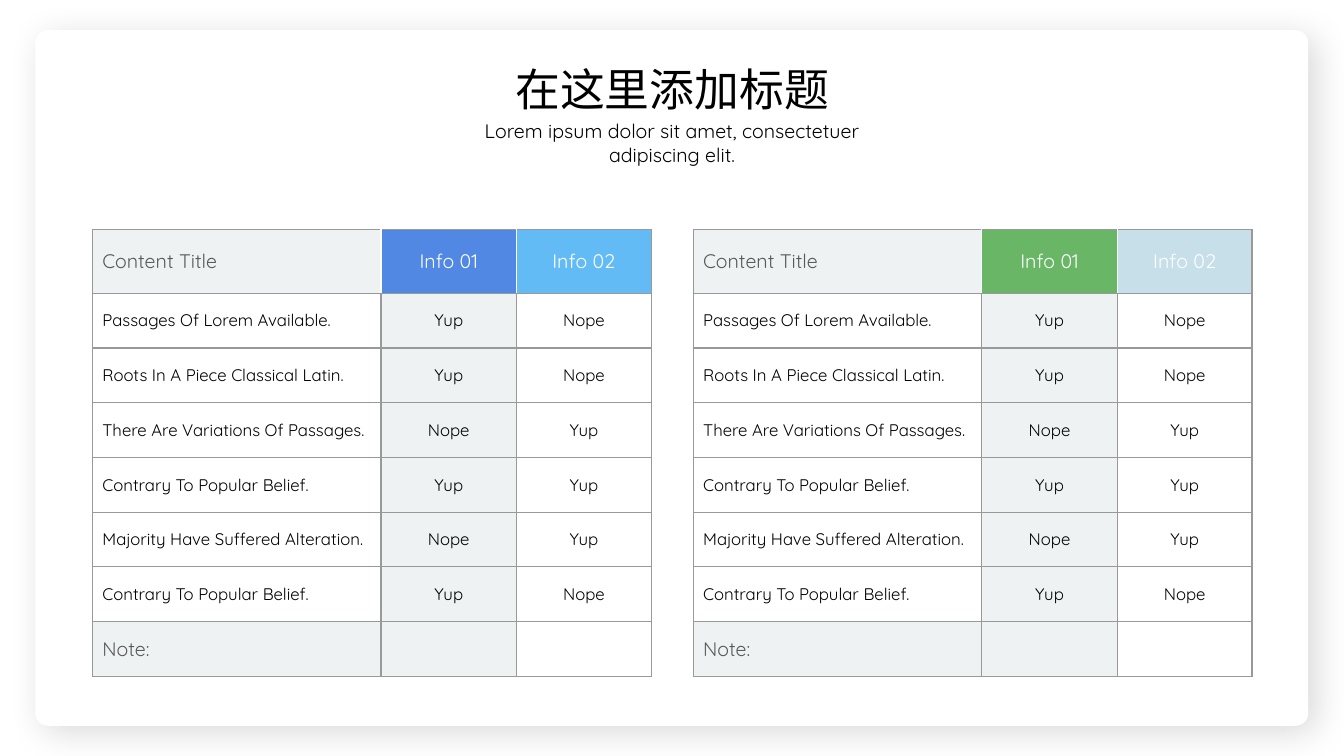
from lxml import etree
from pptx import Presentation
from pptx.dml.color import RGBColor
from pptx.enum.shapes import MSO_SHAPE as SHAPE
from pptx.enum.text import MSO_ANCHOR as ANCHOR, MSO_AUTO_SIZE as AUTO, PP_ALIGN as ALIGN
from pptx.oxml import parse_xml
from pptx.oxml.ns import nsdecls, qn
from pptx.util import Cm, Pt

LATIN, CJK = "Quicksand", "Noto Sans CJK SC"
BLACK, WHITE, GREY, LINE, TINT = "000000", "FFFFFF", "595959", "999999", "EFF2F3"
COL_WIDTHS = (7.27, 3.42, 3.39)
HEADER_H, ROW_H = 1.6, 1.38
ROWS = [
    ("Content Title", "Info 01", "Info 02"),
    ("Passages Of Lorem Available.", "Yup", "Nope"),
    ("Roots In A Piece Classical Latin.", "Yup", "Nope"),
    ("There Are Variations Of Passages.", "Nope", "Yup"),
    ("Contrary To Popular Belief.", "Yup", "Yup"),
    ("Majority Have Suffered Alteration.", "Nope", "Yup"),
    ("Contrary To Popular Belief.", "Yup", "Nope"),
    ("Note:", "", ""),
]


def rgb(color):
    return RGBColor.from_string(color)


def style(p, size, font, color, align):
    p.alignment = align
    for r in p.runs:
        r.font.size, r.font.name = Pt(size), font
        r.font.color.rgb = rgb(color)
        ea = etree.SubElement(r._r.get_or_add_rPr(), qn("a:ea"))
        ea.set("typeface", font)


def add_card(slide, x, y, w, h):
    sp = slide.shapes.add_shape(SHAPE.ROUNDED_RECTANGLE, Cm(x), Cm(y), Cm(w), Cm(h))
    sp.adjustments[0] = 0.018
    sp.fill.solid()
    sp.fill.fore_color.rgb = rgb(WHITE)
    sp.line.fill.background()
    # Soft shadow towards the lower right
    sp.shadow.inherit = False
    sp._element.spPr.find(qn("a:effectLst")).append(parse_xml(
        f'<a:outerShdw {nsdecls("a")} blurRad="{Pt(25)}" dist="{Pt(8)}" dir="2700000" '
        f'algn="tl" rotWithShape="0"><a:srgbClr val="{BLACK}"><a:alpha val="15000"/>'
        '</a:srgbClr></a:outerShdw>'))
    # Behind the placeholders
    slide.shapes._spTree.insert(2, sp._element)


def fill_placeholder(sp, text, x, y, w, h, size, font):
    sp.left, sp.top, sp.width, sp.height = Cm(x), Cm(y), Cm(w), Cm(h)
    tf = sp.text_frame
    tf.text = text
    tf.word_wrap, tf.auto_size = True, AUTO.NONE
    tf.vertical_anchor = ANCHOR.TOP
    p = tf.paragraphs[0]
    p.space_before, p.line_spacing = Pt(0), 1.0
    style(p, size, font, BLACK, ALIGN.CENTER)


def add_heading(slide, x, y, w):
    fill_placeholder(slide.shapes.title, "在这里添加标题", x, y, w, 1.63, 32, CJK)
    fill_placeholder(slide.placeholders[1],
                     "Lorem ipsum dolor sit amet, consectetuer adipiscing elit.",
                     x, y + 1.45, w, 1.5, 14, LATIN)


def set_borders(cell, **colors):
    tcPr = cell._tc.get_or_add_tcPr()
    for side in "LRTB":
        tcPr.append(parse_xml(
            f'<a:ln{side} {nsdecls("a")} w="{Pt(1)}"><a:solidFill>'
            f'<a:srgbClr val="{colors.get(side, LINE)}"/></a:solidFill></a:ln{side}>'))


def add_info_table(slide, x, y, accents):
    height = HEADER_H + ROW_H * (len(ROWS) - 1)
    frame = slide.shapes.add_table(len(ROWS), len(COL_WIDTHS), Cm(x), Cm(y),
                                   Cm(sum(COL_WIDTHS)), Cm(height))
    table = frame.table
    table.first_row = table.horz_banding = False
    for column, width in zip(table.columns, COL_WIDTHS):
        column.width = Cm(width)
    for i, texts in enumerate(ROWS):
        header, last = i == 0, i == len(ROWS) - 1
        table.rows[i].height = Cm(HEADER_H if header else ROW_H)
        for j, text in enumerate(texts):
            cell = table.cell(i, j)
            cell.margin_left = Cm(0 if j else 0.25)
            cell.margin_right = cell.margin_top = cell.margin_bottom = 0
            cell.vertical_anchor = ANCHOR.MIDDLE
            # White lines part the header cells
            inner = {}
            if header and j > 0:
                inner["L"] = WHITE
            if header and j < len(texts) - 1:
                inner["R"] = WHITE
            set_borders(cell, **inner)
            # Accent headers, tinted titles and middle column
            titled = header or last
            if header and j:
                fill = accents[j - 1]
            else:
                fill = TINT if j == 1 or (j == 0 and titled) else WHITE
            cell.fill.solid()
            cell.fill.fore_color.rgb = rgb(fill)
            # Wording
            cell.text = text
            color = (WHITE if j else GREY) if titled else BLACK
            style(cell.text_frame.paragraphs[0], 14 if titled else 12, LATIN, color,
                  ALIGN.CENTER if j else ALIGN.LEFT)


def main():
    prs = Presentation()
    prs.slide_width, prs.slide_height = Cm(33.87), Cm(19.05)
    slide = prs.slides.add_slide(prs.slide_layouts[0])
    add_card(slide, 0.89, 0.76, 32.08, 17.53)
    add_heading(slide, 10.95, 1.42, 11.98)
    add_info_table(slide, 2.33, 5.79, ("5088E3", "62BBF5"))
    add_info_table(slide, 17.47, 5.79, ("69B766", "C7DFE8"))
    prs.save("out.pptx")


if __name__ == "__main__":
    main()
